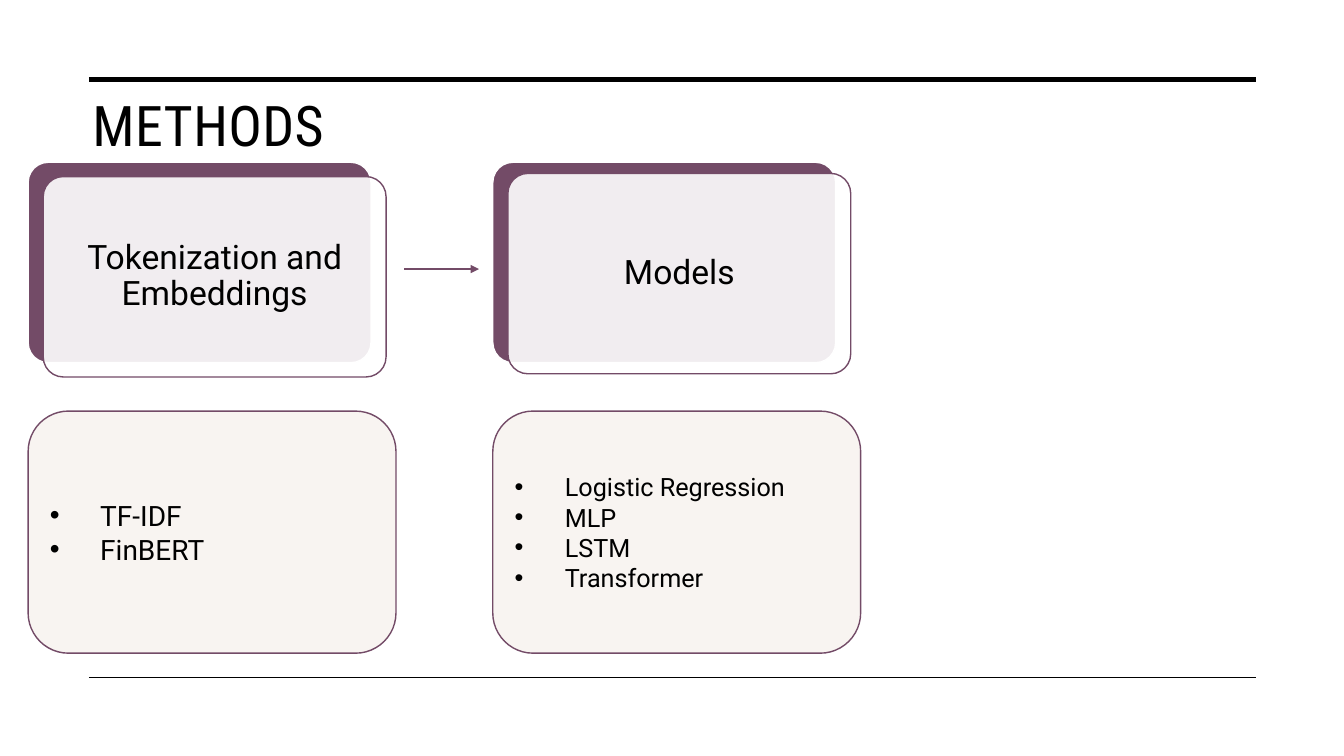
from lxml.etree import SubElement
from pptx import Presentation
from pptx.dml.color import RGBColor
from pptx.enum.shapes import MSO_CONNECTOR, MSO_SHAPE
from pptx.enum.text import MSO_ANCHOR, PP_ALIGN
from pptx.oxml.ns import qn
from pptx.util import Cm, Pt

BLACK = RGBColor(0x00, 0x00, 0x00)
WHITE = RGBColor(0xFF, 0xFF, 0xFF)
PLUM = RGBColor(0x73, 0x4B, 0x67)
CREAM = RGBColor(0xF8, 0xF4, 0xF1)


class Board:
    head, body = "Roboto Condensed", "Roboto"

    def __init__(self, slide):
        self.slide = slide

    def line(self, x1, x2, y, color, width, arrow=False):
        link = self.slide.shapes.add_connector(
            MSO_CONNECTOR.STRAIGHT, Cm(x1), Cm(y), Cm(x2), Cm(y))
        link.line.color.rgb = color
        link.line.width = Pt(width)
        if arrow:
            SubElement(link.line._get_or_add_ln(), qn("a:tailEnd"), type="triangle")
        SubElement(link._element.spPr, qn("a:effectLst"))

    def font(self, para, size, name):
        para.font.size = Pt(size)
        para.font.name = name
        para.font.color.rgb = BLACK

    def text(self, x, y, w, h, words, size, name):
        box = self.slide.shapes.add_textbox(Cm(x), Cm(y), Cm(w), Cm(h))
        frame = box.text_frame
        frame.word_wrap = True
        frame.vertical_anchor = MSO_ANCHOR.MIDDLE
        frame.text = words
        self.font(frame.paragraphs[0], size, name)
        return box

    def title(self, words):
        box = self.text(2.08, 2.03, 29.69, 2.18, words, 40, self.head)
        run = box.text_frame.paragraphs[0].runs[0]
        run._r.get_or_add_rPr().set("spc", "30")

    def round(self, x, y, w, h, fill, edge, bend=None):
        box = self.slide.shapes.add_shape(
            MSO_SHAPE.ROUNDED_RECTANGLE, Cm(x), Cm(y), Cm(w), Cm(h))
        box.shadow.inherit = False
        box.fill.solid()
        box.fill.fore_color.rgb = fill
        box.line.color.rgb = edge
        box.line.width = Pt(1)
        if bend is not None:
            box.adjustments[0] = bend
        return box

    def card(self, x, y, words):
        # Plum backing
        w, h = 8.64, 5.05
        self.round(x, 4.09, w, h, PLUM, WHITE, 0.1)
        # Translucent front and its label
        x += 0.38
        front = self.round(x, y, w, h, WHITE, PLUM, 0.1)
        tint = front.fill._xPr.find(qn("a:solidFill"))[0]
        SubElement(tint, qn("a:alpha"), val="90000")
        pad = 0.15
        label = self.text(x + pad, y + pad, w - 2 * pad, h - 2 * pad,
                          words, 24, self.body)
        frame = label.text_frame
        frame.margin_left = frame.margin_right = Cm(0.2)
        frame.margin_top = frame.margin_bottom = Cm(0.2)
        para = frame.paragraphs[0]
        para.alignment = PP_ALIGN.CENTER
        para.line_spacing = 0.9
        self.slide.shapes.add_group_shape([front, label])

    def bullets(self, x, items, size):
        box = self.round(x, 10.36, 9.27, 6.1, CREAM, PLUM)
        frame = box.text_frame
        frame.word_wrap = True
        frame.vertical_anchor = MSO_ANCHOR.MIDDLE
        frame.text = "\n".join(items)
        for para in frame.paragraphs:
            para.alignment = PP_ALIGN.LEFT
            props = para._p.get_or_add_pPr()
            props.set("marL", str(Cm(1.27)))
            props.set("indent", str(-Cm(1.27)))
            SubElement(props, qn("a:buFont"), typeface="Arial")
            SubElement(props, qn("a:buChar"), char="•")
            self.font(para, size, self.body)


def main():
    deck = Presentation()
    deck.slide_width, deck.slide_height = Cm(33.87), Cm(19.05)
    board = Board(deck.slides.add_slide(deck.slide_layouts[6]))

    # Frame rules and title
    board.line(2.24, 31.65, 2.01, BLACK, 3.5)
    board.line(2.24, 31.65, 17.07, BLACK, 1)
    board.title("METHODS")

    # Steps: heading, card top, items, item size
    steps = [
        ("Tokenization and Embeddings", 4.45, ["TF-IDF", "FinBERT"], 20),
        ("Models", 4.37,
         ["Logistic Regression", "MLP", "LSTM", "Transformer"], 18),
    ]
    for i, (name, top, items, size) in enumerate(steps):
        left = 0.71 + 11.71 * i
        board.card(left, top, name)
        board.bullets(left, items, size)

    # Arrow between the steps
    board.line(10.19, 12.07, 6.78, PLUM, 1.5, arrow=True)
    deck.save("out.pptx")


if __name__ == "__main__":
    main()
